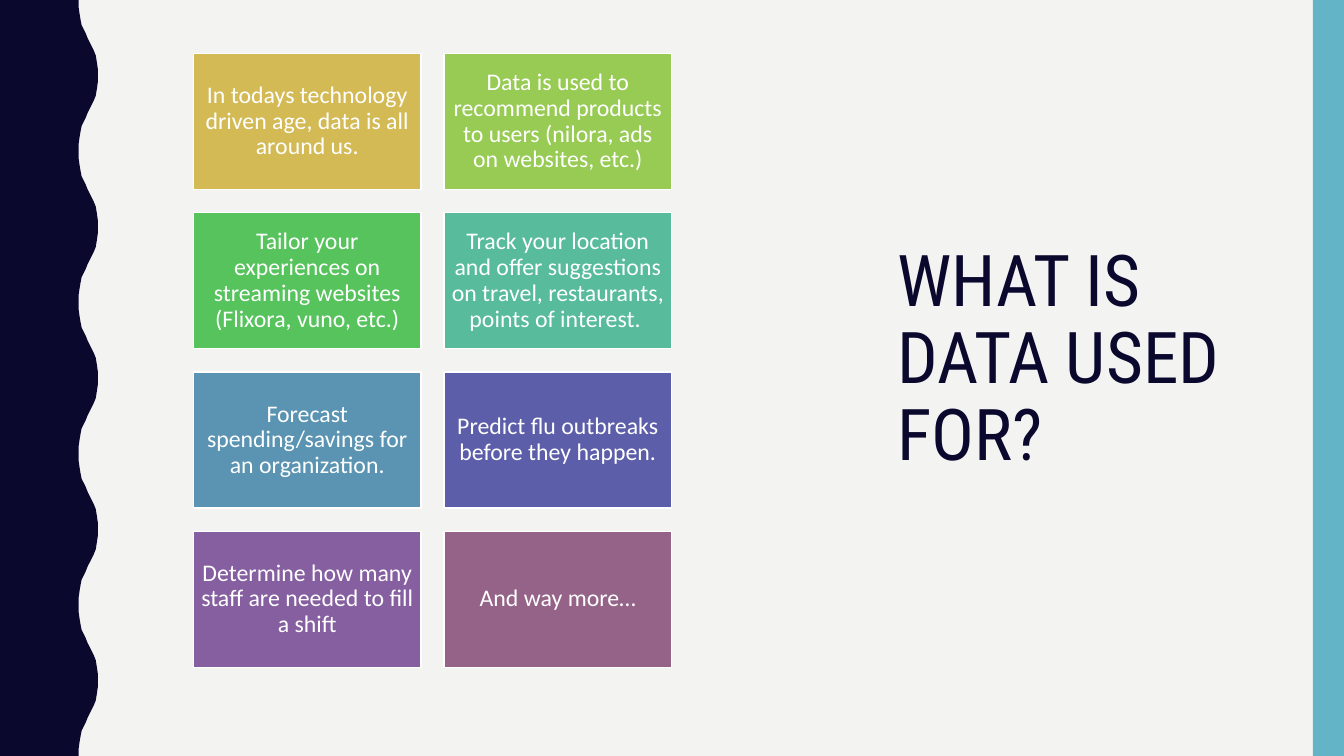
from pptx import Presentation
from pptx import util as u
from pptx.dml.color import RGBColor
from pptx.enum import shapes, text

WIDTH, HEIGHT = 13.33, 7.5
COLOURS = {"paper": "F3F3F2", "navy": "0B082E", "teal": "62B4C6", "white": "FFFFFF"}
USES = [
    ("In todays technology driven age, data is all around us.", "D3BA55"),
    ("Data is used to recommend products to users (nilora, ads on websites, etc.)", "97CB54"),
    ("Tailor your experiences on streaming websites (Flixora, vuno, etc.)", "56C35D"),
    ("Track your location and offer suggestions on travel, restaurants, points of interest. ", "57BB9C"),
    ("Forecast spending/savings for an organization.", "5A94B2"),
    ("Predict flu outbreaks before they happen.", "5C5EA9"),
    ("Determine how many staff are needed to fill a shift", "865FA0"),
    ("And way more…", "956388"),
]
HALF_WAVE = [
    (0.78, 0), (0.78, 0.07), (0.79, 0.14), (0.8, 0.2), (0.81, 0.25),
    (0.83, 0.29), (0.85, 0.33), (0.87, 0.38), (0.89, 0.42), (0.91, 0.46),
    (0.93, 0.5), (0.95, 0.55), (0.96, 0.61), (0.97, 0.68), (0.97, 0.75),
]
WAVES = 5


def paint(shape, colour):
    """Give a shape a flat fill without line or shadow."""
    shape.shadow.inherit = False
    shape.fill.solid()
    shape.fill.fore_color.rgb = RGBColor.from_string(colour)
    shape.line.fill.background()


def write(shape, words, align, inset, font):
    """Write one vertically centred paragraph in a shape."""
    frame = shape.text_frame
    frame.text = words
    side, top = (u.Inches(length) for length in inset)
    layout = {
        "word_wrap": True, "auto_size": text.MSO_AUTO_SIZE.NONE,
        "vertical_anchor": text.MSO_ANCHOR.MIDDLE,
        "margin_left": side, "margin_right": side,
        "margin_top": top, "margin_bottom": top,
    }
    for name, value in layout.items():
        setattr(frame, name, value)
    para = frame.paragraphs[0]
    para.alignment, para.line_spacing = align, 0.9
    span = para.runs[0]
    span.font.name, span.font.size = font["name"], u.Pt(font["size"])
    span.font.color.rgb = RGBColor.from_string(font["colour"])


def add_wavy_edge(page):
    """Draw the dark band with a repeating wave along its right side."""
    period = HEIGHT / WAVES
    wave = HALF_WAVE + [(x, period - y) for x, y in HALF_WAVE[-2::-1]]
    points = [(x, y + turn * period) for turn in range(WAVES) for x, y in wave]
    corners = [*points, (0, HEIGHT)]
    builder = page.shapes.build_freeform(0, 0)
    builder.add_line_segments([(u.Inches(x), u.Inches(y)) for x, y in corners], close=True)
    paint(builder.convert_to_shape(), COLOURS["navy"])


def add_side_bar(page, left):
    """Fill the strip from left to the slide's right side."""
    box = (left, 0, WIDTH - left, HEIGHT)
    bar = page.shapes.add_shape(shapes.MSO_SHAPE.RECTANGLE, *map(u.Inches, box))
    paint(bar, COLOURS["teal"])


def add_title(page, box):
    """Place the title placeholder in the given box."""
    title = page.shapes.title
    for name, length in zip(("left", "top", "width", "height"), box):
        setattr(title, name, u.Inches(length))
    font = {"name": "Roboto Condensed", "size": 51, "colour": COLOURS["navy"]}
    write(title, "WHAT IS DATA USED FOR?", text.PP_ALIGN.LEFT, (0.1, 0.05), font)


def add_use_grid(page, box, columns=2, gap=0.23):
    """Lay out the uses of data as equal tiles in the given box."""
    left, top, width, height = box
    rows = len(USES) // columns
    tile_width = (width - gap * (columns - 1)) / columns
    tile_height = (height - gap * (rows - 1)) / rows
    font = {"name": "Calibri", "size": 17, "colour": COLOURS["white"]}
    for index, (words, colour) in enumerate(USES):
        row, column = divmod(index, columns)
        place = (left + column * (tile_width + gap), top + row * (tile_height + gap),
                 tile_width, tile_height)
        tile = page.shapes.add_shape(shapes.MSO_SHAPE.RECTANGLE, *map(u.Inches, place))
        paint(tile, colour)
        tile.line.color.rgb = RGBColor.from_string(COLOURS["white"])
        tile.line.width = u.Pt(1)
        write(tile, words, text.PP_ALIGN.CENTER, (0.07, 0.07), font)


def main():
    """Build and save the slide."""
    deck = Presentation()
    deck.slide_width, deck.slide_height = u.Inches(WIDTH), u.Inches(HEIGHT)
    page = deck.slides.add_slide(deck.slide_layouts.get_by_name("Title Only"))
    page.background.fill.solid()
    page.background.fill.fore_color.rgb = RGBColor.from_string(COLOURS["paper"])
    add_wavy_edge(page)
    add_side_bar(page, 13.02)
    add_title(page, (8.8, 0.53, 4, 6.09))
    add_use_grid(page, (1.92, 0.53, 4.74, 6.09))
    deck.save("out.pptx")


if __name__ == "__main__":
    main()
